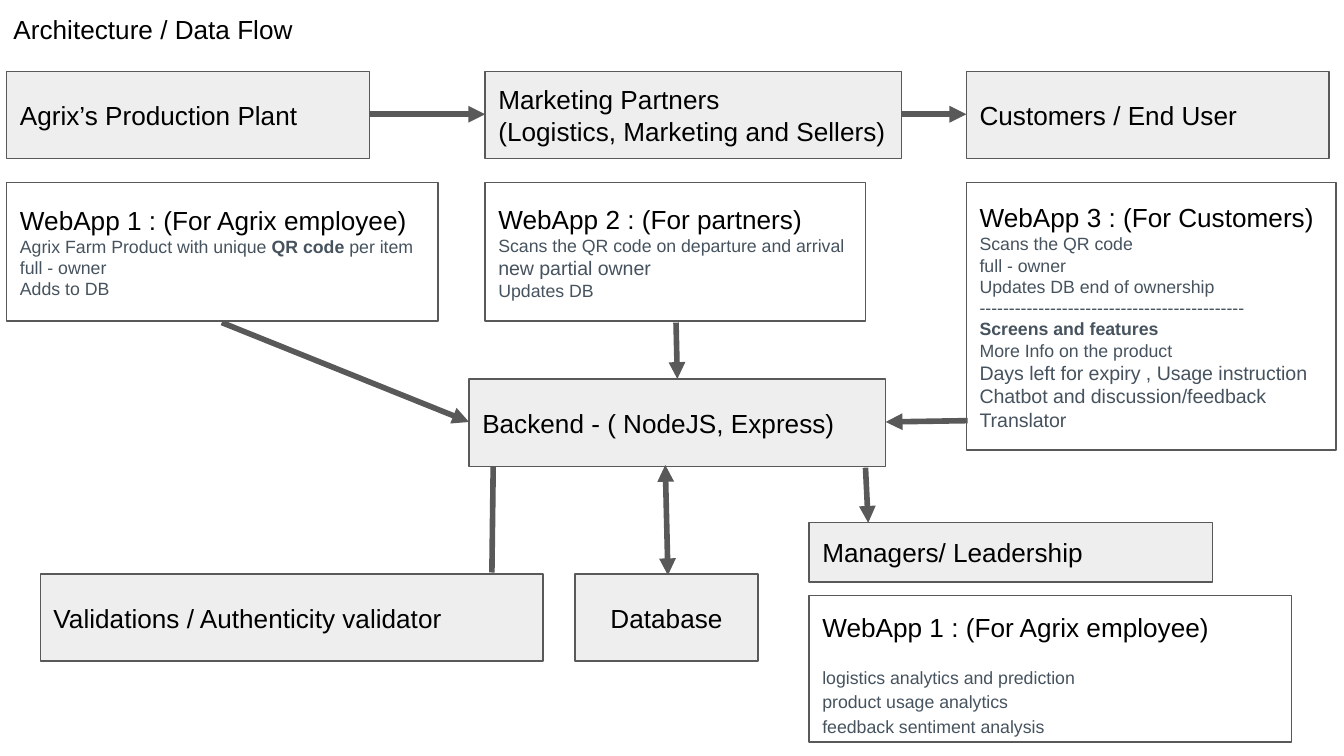
from dataclasses import dataclass

from lxml.etree import SubElement
from pptx import Presentation
from pptx.dml.color import RGBColor
from pptx.enum.shapes import MSO_CONNECTOR, MSO_SHAPE
from pptx.enum.text import MSO_ANCHOR, PP_ALIGN
from pptx.oxml.ns import qn
from pptx.util import Inches, Pt

COLORS = {"ink": "000000", "detail": "46535E", "line": "595959",
          "step": "EEEEEE", "app": "FFFFFF"}
ROW_FLOW, ROW_APP, ROW_STORE = 0.53, 1.36, 4.27
STEP_H, APP_H = 0.65, 1.03
COL_PLANT, COL_PARTNER, COL_CUSTOMER, COL_MANAGER = 0.05, 3.61, 7.19, 6.02


@dataclass
class Line:
    text: str  # parts between ** are bold
    size: float = 9.5
    color: str = "detail"
    before: float = 0
    spacing: float = 1.0


@dataclass
class Box:
    left: float
    top: float
    width: float
    height: float
    lines: list[Line]
    fill: str = "step"
    align: PP_ALIGN = PP_ALIGN.LEFT
    anchor: MSO_ANCHOR = MSO_ANCHOR.MIDDLE
    inset_top: float = 0.1


@dataclass
class Arrow:
    start: tuple[float, float]
    end: tuple[float, float]
    head: bool = False
    tail: bool = True


def heading(text: str) -> Line:
    return Line(text, 14, "ink")


def rgb(name: str) -> RGBColor:
    return RGBColor.from_string(COLORS[name])


def write_line(p, text: str, *, size: float, color: str, before: float = 0,
               spacing: float = 1.0, align=PP_ALIGN.LEFT) -> None:
    """Write one paragraph; ** toggles bold and a newline breaks the line."""
    p.alignment, p.line_spacing, p.space_before = align, spacing, Pt(before)
    for i, part in enumerate(text.split("**")):
        for j, piece in enumerate(part.split("\n")):
            if j:
                p.add_line_break()
            if piece:
                r = p.add_run()
                r.text = piece
                r.font.name, r.font.size = "Arial", Pt(size)
                r.font.bold = i % 2 == 1
                r.font.color.rgb = rgb(color)


def set_frame(tf, anchor: MSO_ANCHOR, inset_top: float = 0.1) -> None:
    tf.word_wrap = True
    tf.vertical_anchor = anchor
    tf.margin_left = tf.margin_right = tf.margin_bottom = Inches(0.1)
    tf.margin_top = Inches(inset_top)


def add_box(s, box: Box) -> None:
    sp = s.shapes.add_shape(MSO_SHAPE.RECTANGLE, Inches(box.left), Inches(box.top),
                            Inches(box.width), Inches(box.height))
    sp.shadow.inherit = False
    sp.fill.solid()
    sp.fill.fore_color.rgb = rgb(box.fill)
    sp.line.color.rgb = rgb("line")
    sp.line.width = Pt(0.75)
    tf = sp.text_frame
    set_frame(tf, box.anchor, box.inset_top)
    for i, line in enumerate(box.lines):
        p = tf.add_paragraph() if i else tf.paragraphs[0]
        write_line(p, line.text, size=line.size, color=line.color, before=line.before,
                   spacing=line.spacing, align=box.align)


def add_arrow(s, arrow: Arrow) -> None:
    c = s.shapes.add_connector(MSO_CONNECTOR.STRAIGHT,
                               *map(Inches, arrow.start + arrow.end))
    c.line.color.rgb = rgb("line")
    c.line.width = Pt(3)
    ln = c.line._get_or_add_ln()
    for tag, shown in (("a:headEnd", arrow.head), ("a:tailEnd", arrow.tail)):
        if shown:
            SubElement(ln, qn(tag), type="triangle")
    SubElement(c._element.spPr, qn("a:effectLst"))


BOXES = [
    Box(COL_PLANT, ROW_FLOW, 2.7, STEP_H, [heading("Agrix’s Production Plant")]),
    Box(COL_PARTNER, ROW_FLOW, 3.1, STEP_H,
        [heading("Marketing Partners"), heading("(Logistics, Marketing and Sellers)")]),
    Box(COL_CUSTOMER, ROW_FLOW, 2.7, STEP_H, [heading("Customers / End User")]),
    Box(COL_PLANT, ROW_APP, 3.21, APP_H, [
        heading("WebApp 1 : (For Agrix employee)"),
        Line("Agrix Farm Product with unique** QR code** per item"),
        Line("full - owner"),
        Line("Adds to DB")], "app"),
    Box(COL_PARTNER, ROW_APP, 2.83, APP_H, [
        heading("WebApp 2 : (For partners)"),
        Line("Scans the QR code on departure and arrival"),
        Line("new partial owner", 10.5),
        Line("Updates DB")], "app"),
    Box(COL_CUSTOMER, ROW_APP, 2.75, 1.99, [
        heading("WebApp 3 : (For Customers)"),
        Line("Scans the QR code"),
        Line("full - owner"),
        Line("Updates DB end of ownership"),
        Line("-" * 45),
        Line("**Screens and features**"),
        Line("More Info on the product"),
        Line("Days left for expiry , Usage instruction", 10.5),
        Line("Chatbot and discussion/feedback", 10.5),
        Line("Translator", 10.5)], "app"),
    Box(3.49, 2.82, 3.1, STEP_H, [heading("Backend - ( NodeJS, Express)")]),
    Box(0.3, ROW_STORE, 3.74, STEP_H, [heading("Validations / Authenticity validator")]),
    Box(4.28, ROW_STORE, 1.36, STEP_H, [heading("Database")], align=PP_ALIGN.CENTER),
    Box(COL_MANAGER, 3.89, 3, 0.44, [heading("Managers/ Leadership")]),
    Box(COL_MANAGER, 4.43, 3.59, 1.09, [
        heading("WebApp 1 : (For Agrix employee)"),
        Line("logistics analytics and prediction\nproduct usage analytics\n"
             "feedback sentiment analysis", before=11, spacing=1.15)],
        "app", anchor=MSO_ANCHOR.TOP, inset_top=0.12),
]

ARROWS = [
    Arrow((2.75, 0.85), (3.61, 0.85)),
    Arrow((6.71, 0.85), (7.19, 0.85)),
    Arrow((1.65, 2.4), (3.49, 3.14)),
    Arrow((5.03, 2.4), (5.04, 2.82)),
    Arrow((7.2, 3.13), (6.59, 3.14)),
    Arrow((4.95, 3.46), (4.97, 4.28), head=True),
    Arrow((3.67, 3.47), (3.66, 4.26), tail=False),
    Arrow((6.44, 3.48), (6.46, 3.89)),
]


def main() -> None:
    prs = Presentation()
    prs.slide_width = Inches(10)
    prs.slide_height = Inches(10 * 9 / 16)
    s = prs.slides.add_slide(prs.slide_layouts[5])
    title = s.shapes.title
    title.left, title.top = Inches(0), Inches(0)
    title.width, title.height = Inches(5.36), Inches(0.44)
    set_frame(title.text_frame, MSO_ANCHOR.TOP)
    write_line(title.text_frame.paragraphs[0], "Architecture / Data Flow",
               size=14, color="ink")
    for box in BOXES:
        add_box(s, box)
    for arrow in ARROWS:
        add_arrow(s, arrow)
    prs.save("out.pptx")


if __name__ == "__main__":
    main()
